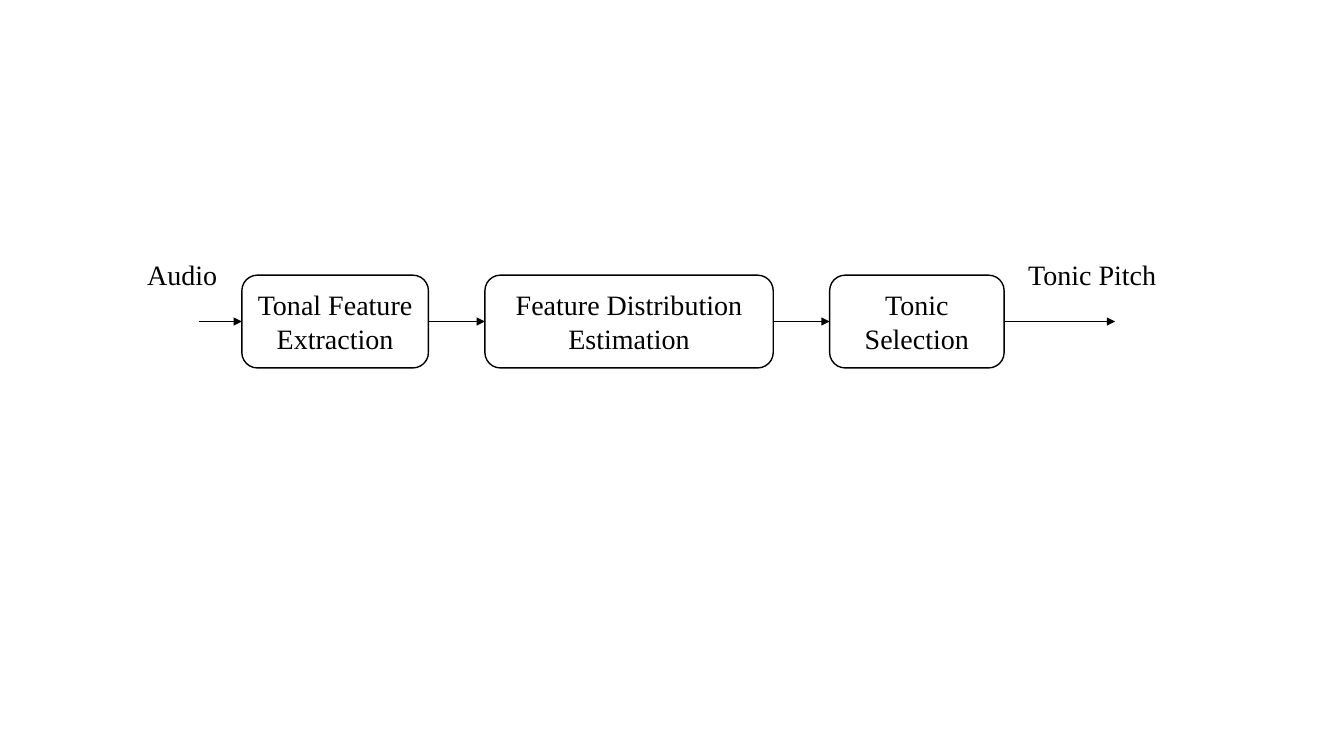
from pptx import Presentation
from pptx import util as u
from pptx.dml.color import RGBColor
from pptx.enum import shapes, text
from pptx.oxml.ns import qn
from lxml import etree

LEFT_SIDE, RIGHT_SIDE = 1, 3


def color(hex_string):
    return RGBColor.from_string(hex_string)


class FlowSlide:
    """Style and current slide; lengths are percentages of the slide's size."""

    font_name = "Times New Roman"
    font_size = u.Pt(20)
    ink = "000000"

    def __init__(self, presentation):
        self.width = presentation.slide_width
        self.height = presentation.slide_height
        self.slide = presentation.slides.add_slide(presentation.slide_layouts[6])

    def x(self, percent):
        return u.Emu(round(self.width * percent / 100))

    def y(self, percent):
        return u.Emu(round(self.height * percent / 100))

    def frame(self, left, top, width, height):
        return self.x(left), self.y(top), self.x(width), self.y(height)

    def set_text(self, shape, wording, alignment):
        shape.text_frame.word_wrap = True
        paragraph = shape.text_frame.paragraphs[0]
        paragraph.text = wording
        paragraph.alignment = alignment
        paragraph.font.name = self.font_name
        paragraph.font.size = self.font_size
        paragraph.font.color.rgb = color(self.ink)

    def stage(self, wording, left, top, width, height):
        shape = self.slide.shapes.add_shape(
            shapes.MSO_SHAPE.ROUNDED_RECTANGLE, *self.frame(left, top, width, height))
        shape.shadow.inherit = False
        shape.fill.background()
        shape.line.color.rgb = color(self.ink)
        shape.line.width = u.Pt(1)
        shape.text_frame.vertical_anchor = text.MSO_ANCHOR.MIDDLE
        self.set_text(shape, wording, text.PP_ALIGN.CENTER)
        return shape

    def label(self, wording, left, top, width, height):
        shape = self.slide.shapes.add_textbox(*self.frame(left, top, width, height))
        shape.text_frame.auto_size = text.MSO_AUTO_SIZE.SHAPE_TO_FIT_TEXT
        self.set_text(shape, wording, text.PP_ALIGN.LEFT)

    def arrow(self, start, end, level, source=None, target=None):
        """Draw a horizontal arrow, joined to the stages it touches."""
        connector = self.slide.shapes.add_connector(
            shapes.MSO_CONNECTOR.STRAIGHT,
            self.x(start), self.y(level), self.x(end), self.y(level))
        if source is not None:
            connector.begin_connect(source, RIGHT_SIDE)
        if target is not None:
            connector.end_connect(target, LEFT_SIDE)
        connector.line.color.rgb = color(self.ink)
        connector.line.width = u.Pt(0.5)
        properties = connector.element.spPr
        etree.SubElement(properties.get_or_add_ln(), qn("a:tailEnd"), type="triangle")
        etree.SubElement(properties, qn("a:effectLst"))


def main():
    presentation = Presentation()
    presentation.slide_width = u.Inches(13.33)
    presentation.slide_height = u.Inches(7.5)
    flow = FlowSlide(presentation)

    stage_top, stage_height, gap = 36.4, 12.27, 4.2
    level = stage_top + stage_height / 2
    stages = [
        ("Tonal Feature Extraction", 13.88),
        ("Feature Distribution Estimation", 21.45),
        ("Tonic Selection", 12.98),
    ]

    left, arrow_start, previous = 18, 14.78, None
    for wording, width in stages:
        stage = flow.stage(wording, left, stage_top, width, stage_height)
        flow.arrow(arrow_start, left, level, previous, stage)
        arrow_start, previous = left + width, stage
        left = arrow_start + gap
    flow.arrow(arrow_start, 82.97, level, previous)

    for wording, label_left in (("Audio", 10.2), ("Tonic Pitch", 75.76)):
        flow.label(wording, label_left, 33.47, 11.7, 5.87)

    presentation.save("out.pptx")


if __name__ == "__main__":
    main()
